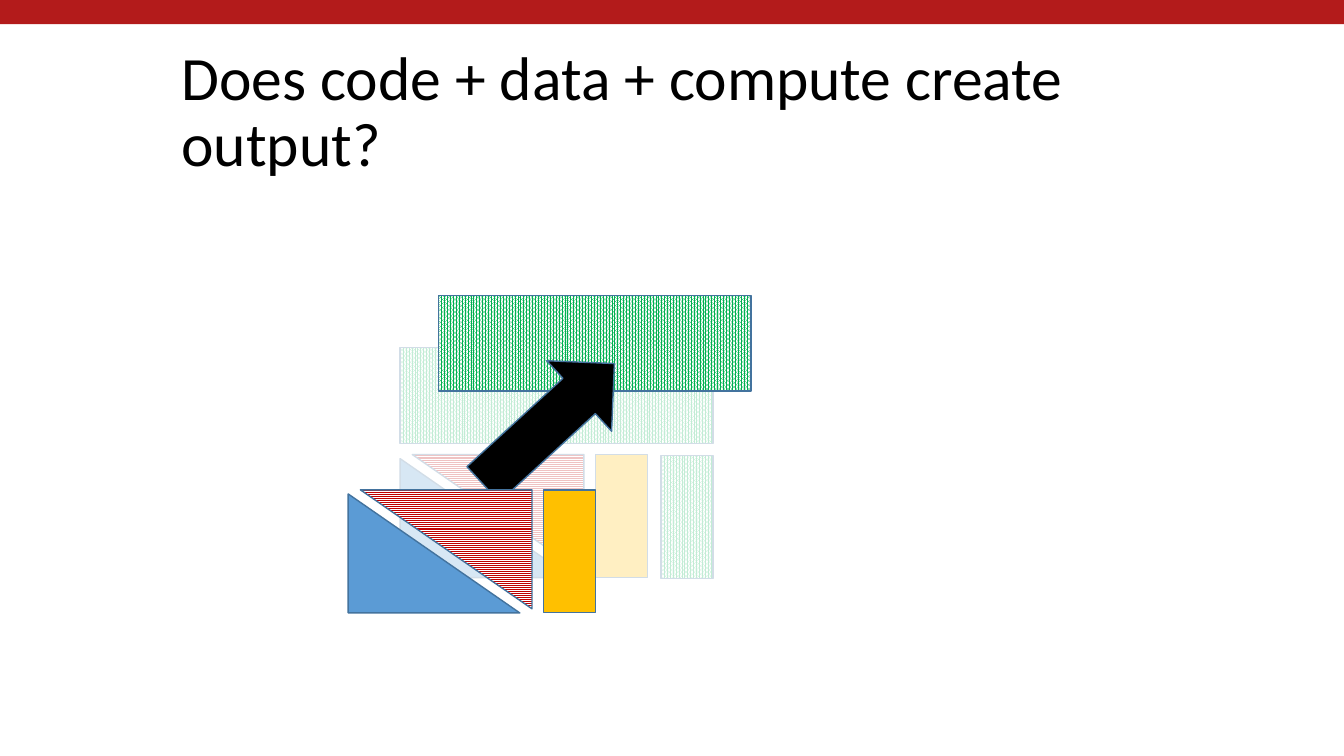
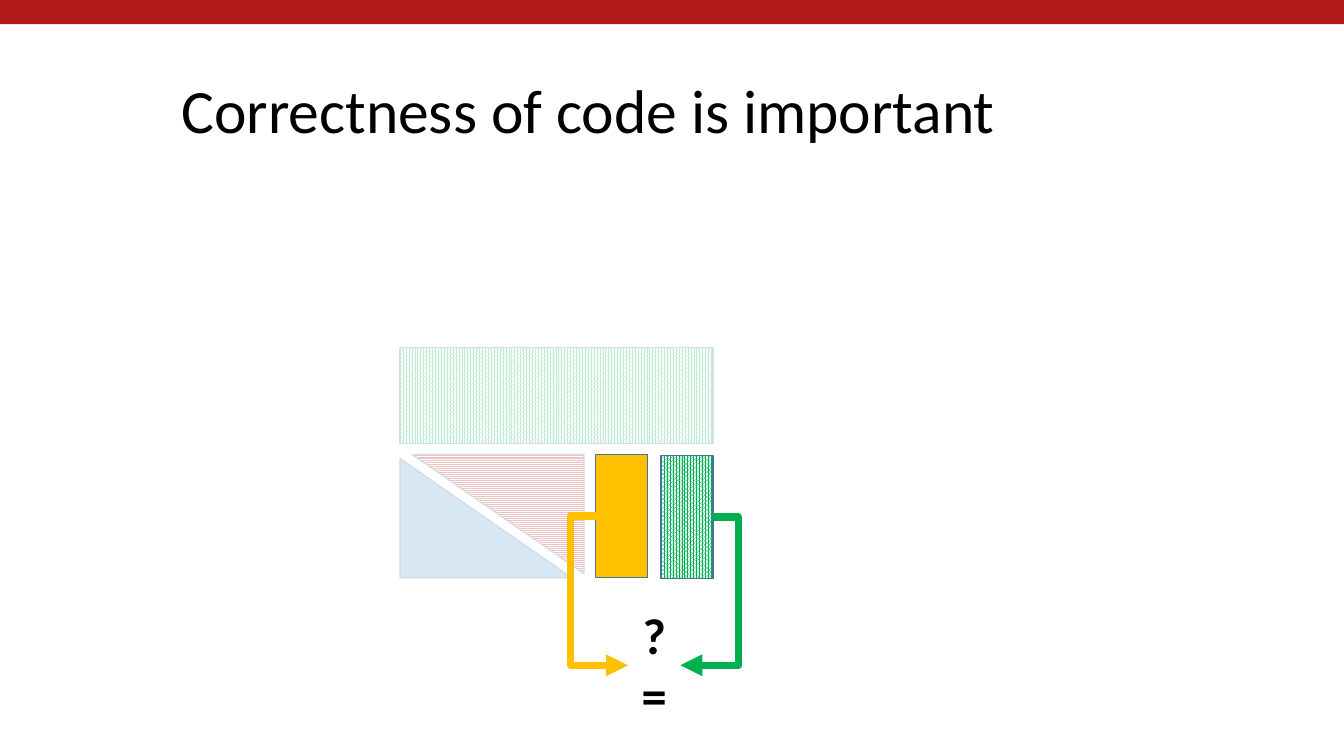
"""Build two slides on checking that code, data and compute create the output."""
from pptx import Presentation
from pptx.dml.color import RGBColor as Rgb
from pptx.enum.dml import MSO_PATTERN as Pattern
from pptx.enum.shapes import MSO_CONNECTOR as Connector, MSO_SHAPE as Preset
from pptx.enum.text import MSO_ANCHOR as Anchor, MSO_AUTO_SIZE as AutoSize, PP_ALIGN as Align
from pptx.oxml.ns import qn
from pptx.util import Pt
from lxml.etree import SubElement

COLORS = {
    "band": "B31B1B", "outline": "43739E", "code": "5B9BD5", "data": "C00000",
    "output": "00B050", "compute": "FFC000", "white": "FFFFFF", "black": "000000",
}
FONT = "Calibri"
WIDTH, HEIGHT = 960, 540

PIECES = {
    "band": (Preset.RECTANGLE, (0, 0, WIDTH, 17.3), "band", None, 0),
    "code": (Preset.RIGHT_TRIANGLE, (285.8, 327.6, 122.6, 85), "code", None, 0),
    "result": (Preset.RECTANGLE, (285.8, 248.4, 223.4, 68.4), "output", Pattern.PERCENT_80, 0),
    "data": (Preset.RIGHT_TRIANGLE, (294.5, 324.7, 122.6, 85), "data", Pattern.NARROW_HORIZONTAL, 180),
    "compute": (Preset.RECTANGLE, (425.5, 324.7, 36.9, 87.8), "compute", None, 0),
    "expected": (Preset.RECTANGLE, (472.3, 325.4, 36.9, 87.8), "output", Pattern.PERCENT_80, 0),
    "veil": (Preset.RECTANGLE, (277.2, 241.2, 241.2, 177.8), "white", None, 0),
    "arrow": (Preset.RIGHT_ARROW, (328.3, 268.6, 127.4, 68.4), "black", None, 317.4),
}

SLIDES = [
    {
        "title": "Does code + data + compute create output?",
        "faded": ["code", "result", "data", "compute", "expected"],
        "vivid": [("code", -37.1, 25.2), ("result", 27.4, -37.4), ("compute", -37.1, 25.2),
                  ("arrow", 0, 0), ("data", -37.1, 25.2)],
    },
    {
        "title": "Correctness of code is important",
        "faded": ["code", "result", "data", "expected"],
        "vivid": [("compute", 0, 0), ("expected", 0, 0)],
    },
]

COMPARISONS = [
    ("compute", (425.5, 368.6), (448.6, 475.2), -77000),
    ("output", (509.2, 369.4), (486, 475.2), -79100),
]


def write_text(frame, text, size, bold=False, align=Align.LEFT, anchor=Anchor.TOP,
               spacing=1.0, fit=AutoSize.NONE):
    frame.word_wrap = True
    frame.auto_size = fit
    frame.vertical_anchor = anchor
    paragraph = frame.paragraphs[0]
    paragraph.text = text
    paragraph.alignment = align
    paragraph.line_spacing = spacing
    for run in paragraph.runs:
        run.font.name, run.font.size, run.font.bold = FONT, Pt(size), bold
        run.font.color.rgb = Rgb.from_string(COLORS["black"])


def draw_piece(shapes, name, dx=0, dy=0, outlined=True):
    preset, (left, top, width, height), color, pattern, angle = PIECES[name]
    piece = shapes.add_shape(preset, Pt(left + dx), Pt(top + dy), Pt(width), Pt(height))
    piece.shadow.inherit = False
    piece.rotation = angle
    if pattern:
        piece.fill.patterned()
        piece.fill.pattern = pattern
        piece.fill.back_color.rgb = Rgb.from_string(COLORS["white"])
    else:
        piece.fill.solid()
    piece.fill.fore_color.rgb = Rgb.from_string(COLORS[color])
    if outlined:
        piece.line.width = Pt(1)
        piece.line.color.rgb = Rgb.from_string(COLORS["outline"])
    else:
        piece.line.fill.background()
    return piece


deck = Presentation()
deck.slide_width, deck.slide_height = Pt(WIDTH), Pt(HEIGHT)
layout = deck.slide_layouts[5]

for content in SLIDES:
    slide = deck.slides.add_slide(layout)
    shapes = slide.shapes
    if content is SLIDES[0]:
        band = draw_piece(shapes, "band", outlined=False)
        layout.shapes.element.append(band.element)

    title = shapes.title
    title.left, title.top, title.width, title.height = Pt(122.4), Pt(28.8), Pt(770.4), Pt(104.4)
    write_text(title.text_frame, content["title"], size=44, anchor=Anchor.MIDDLE, spacing=0.9)

    overview = shapes.add_group_shape()
    for name in content["faded"]:
        draw_piece(overview.shapes, name)
    veil = draw_piece(overview.shapes, "veil", outlined=False)
    veil_color = veil.element.spPr.find(qn("a:solidFill"))[0]
    SubElement(veil_color, qn("a:alpha"), val="76000")

    for name, dx, dy in content["vivid"]:
        draw_piece(shapes, name, dx, dy)

question = shapes.add_textbox(Pt(448.6), Pt(427.7), Pt(37.4), Pt(94.3))
write_text(question.text_frame, "?\n=", size=36, bold=True, align=Align.CENTER,
           fit=AutoSize.SHAPE_TO_FIT_TEXT)

for color, start, end, bend in COMPARISONS:
    link = shapes.add_connector(Connector.ELBOW, *map(Pt, start + end))
    link.line.width = Pt(5.25)
    link.line.color.rgb = Rgb.from_string(COLORS[color])
    properties = link.element.spPr
    SubElement(properties.find(qn("a:ln")), qn("a:tailEnd"), type="triangle")
    SubElement(properties, qn("a:effectLst"))
    guides = properties.find(qn("a:prstGeom")).find(qn("a:avLst"))
    SubElement(guides, qn("a:gd"), name="adj1", fmla=f"val {bend}")

deck.save("out.pptx")
